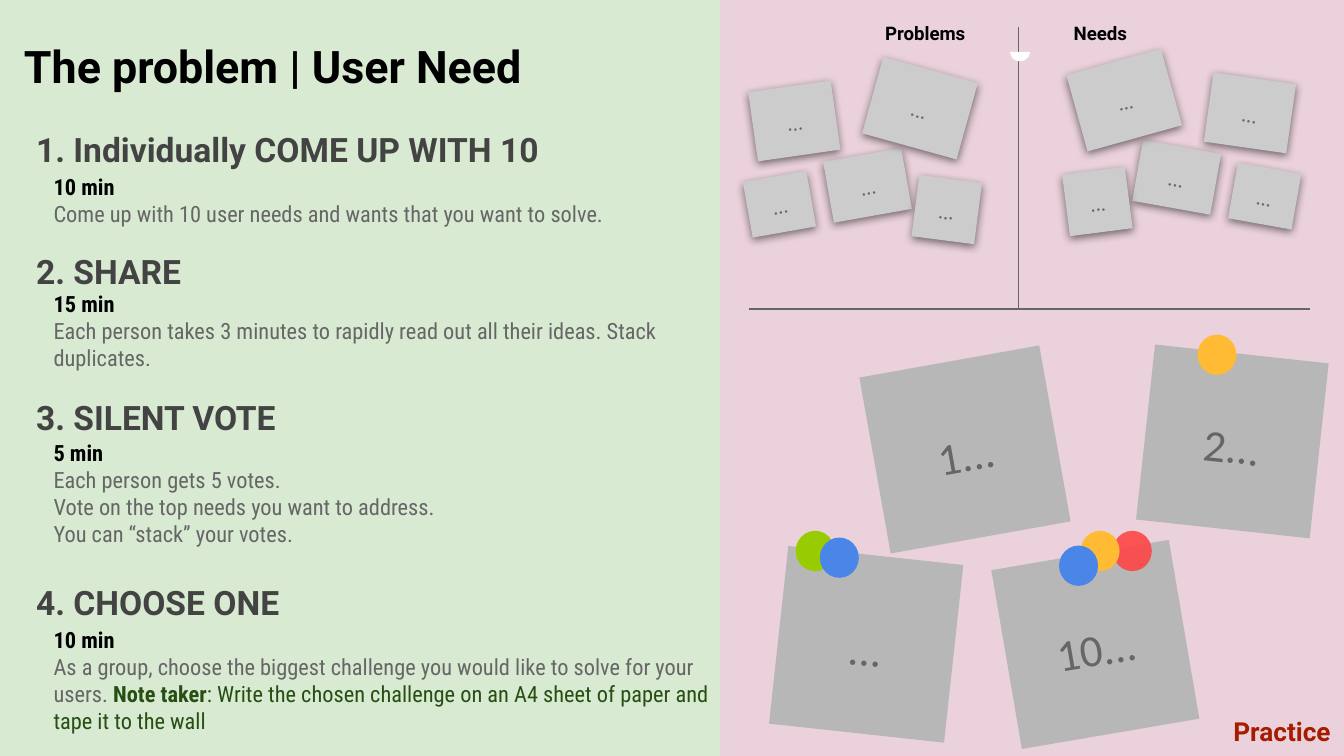
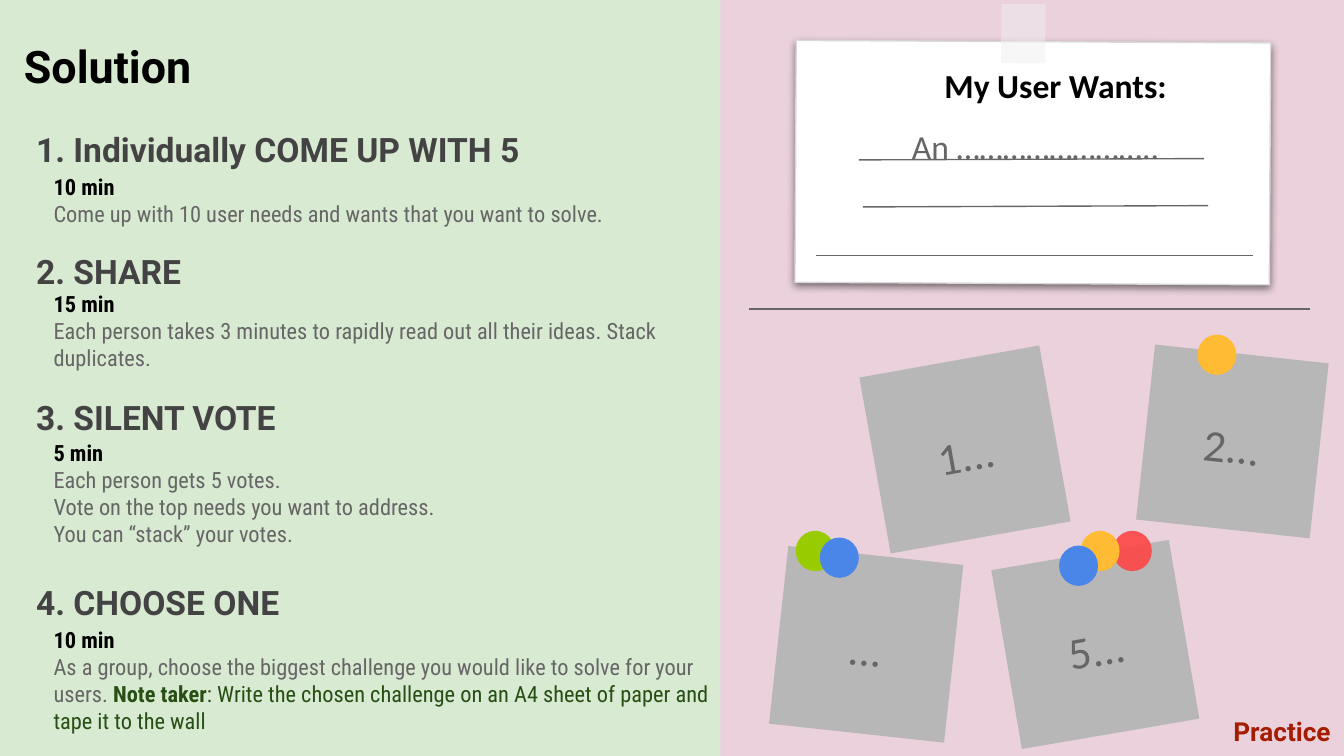
from lxml.etree import SubElement as Sub
from pptx import Presentation
from pptx.dml.color import RGBColor
from pptx.enum.shapes import MSO_CONNECTOR as Conn, MSO_SHAPE as Kind
from pptx.enum.text import MSO_ANCHOR as Anchor, PP_ALIGN as Align
from pptx.oxml.ns import qn
from pptx.util import Pt

# Scale: 100 px to the inch; slides are 16 to 9
PX = 9144
WIDE = 1000 * PX
HIGH = WIDE * 9 // 16

# Colours
GREEN = RGBColor(0xD9, 0xEA, 0xD3)
PINK = RGBColor(0xEA, 0xD1, 0xDC)
BLACK = RGBColor(0, 0, 0)
WHITE = RGBColor(0xFF, 0xFF, 0xFF)
DARK = RGBColor(0x43, 0x43, 0x43)
GREY = RGBColor(0x66, 0x66, 0x66)
NOTE = RGBColor(0xB7, 0xB7, 0xB7)
PALE = RGBColor(0xCC, 0xCC, 0xCC)
EDGE = RGBColor(0xD9, 0xD9, 0xD9)
TAPE = RGBColor(0xEF, 0xEF, 0xEF)
MOSS = RGBColor(0x27, 0x4E, 0x13)
RUST = RGBColor(0xA6, 0x1C, 0x00)
RED = RGBColor(0xFF, 0x44, 0x44)
AMBER = RGBColor(0xFF, 0xBB, 0x33)
BLUE = RGBColor(0x4A, 0x86, 0xE8)
LIME = RGBColor(0x99, 0xCC, 0x00)

# Fonts
HEAD, BODY, HAND = "Roboto", "Roboto Condensed", "Calibri"


def write(frame, runs, size=12, face=HEAD, color=BLACK, bold=False,
          align=Align.LEFT, anchor=Anchor.TOP, space=None, after=None):
    """Fill a frame with one paragraph; a run is (text, color, bold)."""
    if isinstance(runs, str):
        runs = [(runs, color, bold)]
    frame.word_wrap = True
    frame.vertical_anchor = anchor
    frame.margin_left = frame.margin_right = 10 * PX
    frame.margin_top = frame.margin_bottom = 10 * PX
    para = frame.paragraphs[0]
    para.alignment = align
    if space:
        para.line_spacing = space
    if after:
        para.space_after = Pt(after)
    for words, tint, strong in runs:
        for i, line in enumerate(words.split("\n")):
            if i:
                para.add_line_break()
            if line:
                run = para.add_run()
                run.text = line
                font = run.font
                font.name, font.size, font.bold = face, Pt(size), strong
                font.color.rgb = tint


class Deck:
    def __init__(self):
        self.show = Presentation()
        self.show.slide_width = WIDE
        self.show.slide_height = HIGH
        self.slide = None

    def page(self):
        self.slide = self.show.slides.add_slide(self.show.slide_layouts[6])
        fill = self.slide.background.fill
        fill.solid()
        fill.fore_color.rgb = GREEN

    def text(self, box, runs, **fmt):
        item = self.slide.shapes.add_textbox(*(n * PX for n in box))
        write(item.text_frame, runs, **fmt)

    def shape(self, box, color, kind=Kind.RECTANGLE, turn=0, alpha=None,
              edge=None, shade=False):
        item = self.slide.shapes.add_shape(kind, *(n * PX for n in box))
        item.rotation = turn
        item.shadow.inherit = False
        item.fill.solid()
        item.fill.fore_color.rgb = color
        if edge:
            item.line.color.rgb = edge
            item.line.width = Pt(0.75)
        else:
            item.line.fill.background()
        props = item._element.spPr
        if alpha:
            tint = props.find(qn("a:solidFill")).find(qn("a:srgbClr"))
            Sub(tint, qn("a:alpha"), val=str(alpha * 1000))
        if shade:
            drop = Sub(props.find(qn("a:effectLst")), qn("a:outerShdw"),
                       blurRad=str(Pt(4.5)), dist=str(Pt(1.5)),
                       dir="5400000", algn="bl", rotWithShape="0")
            tint = Sub(drop, qn("a:srgbClr"), val="000000")
            Sub(tint, qn("a:alpha"), val="50000")
        return item

    def note(self, box, turn, words="...", size=24, color=NOTE, shade=False):
        item = self.shape(box, color, turn=turn, shade=shade)
        write(item.text_frame, words, size=size, face=HAND, color=GREY,
              align=Align.CENTER, anchor=Anchor.MIDDLE, space=1.15)

    def dot(self, x, y, color, alpha=None):
        self.shape((x, y, 29, 30), color, Kind.OVAL, alpha=alpha)

    def line(self, *ends):
        item = self.slide.shapes.add_connector(
            Conn.STRAIGHT, *(n * PX for n in ends))
        item.line.color.rgb = GREY
        item.line.width = Pt(0.75)
        Sub(item._element.spPr, qn("a:effectLst"))


# Steps: heading top, height; body top, height; heading, time, details
STEPS = [
    (86, 43, 119, 60, "1. Individually COME UP WITH {}", "10 min",
     [("Come up with 10 user needs and wants that you want to solve.",
       GREY, False)]),
    (177, 39, 206, 81, "2. SHARE", "15 min",
     [("Each person takes 3 minutes to rapidly read out all their ideas. "
       "Stack duplicates.", GREY, False)]),
    (285, 43, 317, 99, "3. SILENT VOTE", "5 min",
     [("Each person gets 5 votes.\n"
       "Vote on the top needs you want to address.\n"
       "You can “stack” your votes.", GREY, False)]),
    (423, 43, 456, 99, "4. CHOOSE ONE", "10 min",
     [("As a group, choose the biggest challenge you would like to solve "
       "for your users. ", GREY, False),
      ("Note taker", MOSS, True),
      (": Write the chosen challenge on an A4 sheet of paper and tape it "
       "to the wall", MOSS, False)]),
]

DOTS = [(828, 395, RED, 89), (804, 395, AMBER), (788, 406, BLUE),
        (592, 395, LIME), (610, 400, BLUE), (891, 249, AMBER)]

# Small notes of the left half: left, top, width, height, turn
SMALL = [(616, 115, 59, 46, -10.1), (681, 133, 47, 46, 7.3),
         (556, 131, 48, 42, -10.1), (560, 64, 62, 52, -8.1),
         (648, 51, 73, 59, 15.5)]


def base(deck, title, count):
    """Everything the two slides share."""
    deck.page()
    # Steps on the left
    for top, high, low, deep, head, time, info in STEPS:
        deck.text((17, top, 536, high), head.format(count),
                  size=18, color=DARK, bold=True)
        deck.text((30, low, 515, deep), [(time + "\n", BLACK, True)] + info,
                  face=BODY, after=10)
    # Band with large notes and votes
    deck.shape((536, 0, 464, 563), PINK)
    deck.note((650, 268, 136, 133), -10.1, "1...")
    deck.note((579, 413, 131, 133), 6.2)
    deck.note((852, 263, 130, 131), 6.2, "2...")
    deck.note((748, 412, 134, 135), -9.7, f"{count}...")
    for dot in DOTS:
        deck.dot(*dot)
    # Footer, rule and title
    deck.text((887, 522, 113, 41), "Practice", size=14, color=RUST,
              bold=True, align=Align.RIGHT)
    deck.line(975, 230, 557, 230)
    deck.text((8, 19, 559, 56), title, size=24, bold=True)


def board(deck):
    """Problems and needs on either side of a line."""
    deck.line(758, 20, 758, 231)
    deck.text((789, 8, 135, 30), "Needs", size=10, bold=True)
    deck.text((639, 8, 89, 39), "Problems", size=10, bold=True,
              align=Align.RIGHT)
    half = deck.shape((752, 31, 14, 15), WHITE, Kind.PIE, turn=270)
    half.adjustments[0] = 54.73
    half.adjustments[1] = 162
    look = dict(size=11, color=PALE, shade=True)
    for x, y, w, h, turn in SMALL:
        deck.note((x, y, w, h), turn, **look)
    # The right half mirrors the left, a little higher
    for x, y, w, h, turn in SMALL:
        deck.note((1521 - x - w, y - 6, w, h), -turn, **look)


def card(deck):
    """Taped card with lines to write on."""
    deck.shape((592, 31, 353, 180), WHITE, turn=0.3, edge=EDGE, shade=True)
    deck.line(639, 119, 896, 118)
    deck.line(642, 154, 899, 153)
    deck.line(607, 190, 932, 190)
    deck.shape((745, 3, 33, 44), TAPE, turn=0.4, alpha=48)
    deck.text((587, 84, 367, 35), "An ……………………..", size=18, face=HAND,
              color=GREY, align=Align.CENTER)
    deck.text((639, 40, 293, 46), "My User Wants:", size=18, face=HAND,
              bold=True, align=Align.CENTER, anchor=Anchor.MIDDLE)


def main():
    deck = Deck()
    base(deck, "The problem | User Need", 10)
    board(deck)
    base(deck, "Solution", 5)
    card(deck)
    deck.show.save("out.pptx")


if __name__ == "__main__":
    main()
